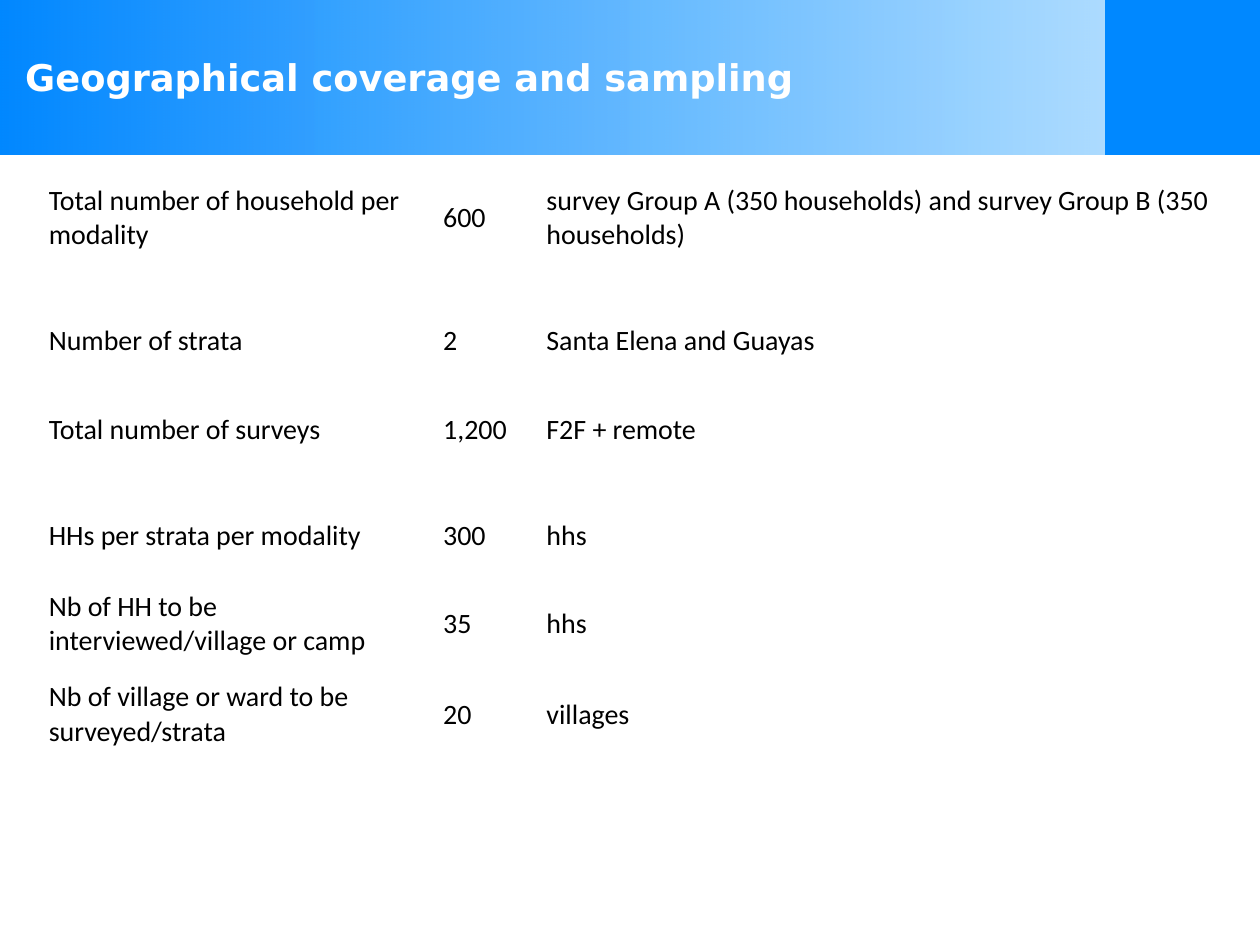
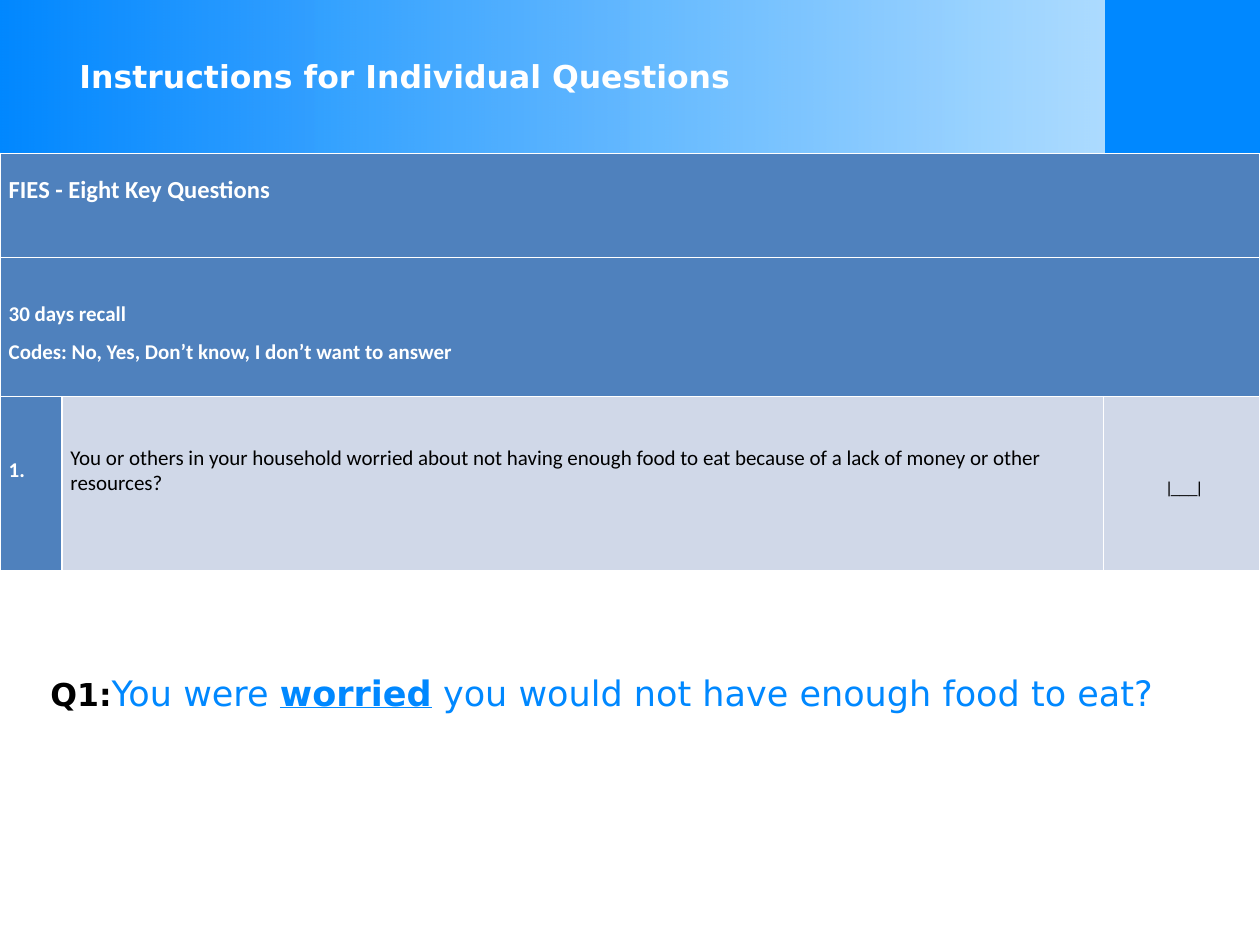
from lxml.etree import SubElement
from pptx import Presentation
from pptx.dml.color import RGBColor
from pptx.enum.shapes import MSO_SHAPE
from pptx.enum.text import MSO_ANCHOR, MSO_AUTO_SIZE, PP_ALIGN
from pptx.oxml import parse_xml
from pptx.oxml.ns import nsdecls, qn
from pptx.util import Pt

# Content
SAMPLING_TITLE = "Geographical coverage and sampling"
SAMPLING_ROWS = [
    ("Total number of household per modality", "600",
     "survey Group A (350 households) and survey Group B (350 households)"),
    ("Number of strata", "2", "Santa Elena and Guayas"),
    ("Total number of surveys", "1,200", "F2F + remote"),
    ("", "", ""),
    ("HHs per strata per modality", "300", "hhs"),
    ("Nb of HH to be interviewed/village or camp", "35", "hhs"),
    ("Nb of village or ward to be surveyed/strata", "20", "villages"),
]
QUESTIONS_TITLE = "Instructions for Individual Questions"
QUESTION_ROWS = [
    (["FIES - Eight Key Questions"],),
    (["30 days recall", "Codes: No, Yes, Don’t know, I don’t want to answer"],),
    (["1."],
     ["You or others in your household worried about not having enough food to eat "
      "because of a lack of money or other resources?"],
     ["|___|"]),
]

# Shared colours and text formats
BRIGHT, HEADER, PALE, WHITE, BLACK = "0088FF", "4F81BD", "D0D8E8", "FFFFFF", "000000"
TITLE = dict(name="DejaVu Sans", color=WHITE, bold=True)
SAMPLING = dict(name="Calibri", size=16, color=BLACK)
HEADING = dict(name="Calibri", size=14, color=WHITE, bold=True)
SUBHEADING = dict(HEADING, size=12)
QUESTION = dict(SUBHEADING, color=BLACK, bold=False)
ANSWER = dict(QUESTION, name="Arial", size=9)
PROMPT = dict(name="DejaVu Sans", size=20, color=BRIGHT, bold=False)
PROMPT_RUNS = [
    ("Q1:", dict(PROMPT, size=18, color=BLACK, bold=True)),
    ("You were ", PROMPT),
    ("worried", dict(PROMPT, bold=True, underline=True)),
    (" you would not have enough food to eat?", PROMPT),
]

# Format, fill, line spacing, alignment and bottom margin of each question cell
QUESTION_STYLES = [
    [(HEADING, HEADER, 1.5, PP_ALIGN.LEFT, 25.6)],
    [(SUBHEADING, HEADER, 1.5, PP_ALIGN.LEFT, 0)],
    [(SUBHEADING, HEADER, 1.5, PP_ALIGN.LEFT, 22),
     (QUESTION, PALE, 1, PP_ALIGN.LEFT, 14.6),
     (ANSWER, PALE, 1.5, PP_ALIGN.CENTER, 0)],
]
SLIDE_WIDTH, SLIDE_HEIGHT, BAND_HEIGHT = 720, 540, 88.5


def rgb(value):
    return RGBColor.from_string(value)


def points(*values):
    return [Pt(value) for value in values]


def add_run(paragraph, text, style):
    run = paragraph.add_run()
    run.text = text
    for key, value in style.items():
        if key == "color":
            run.font.color.rgb = rgb(value)
        else:
            setattr(run.font, key, Pt(value) if key == "size" else value)


def set_margins(target, left, top, right, bottom):
    margins = dict(left=left, top=top, right=right, bottom=bottom)
    for side, value in margins.items():
        setattr(target, f"margin_{side}", Pt(value))


def add_band(slide, layout):
    """Draw the gradient band and its end square, then share them through the layout."""
    boxes = [(0, SLIDE_WIDTH), (SLIDE_WIDTH - BAND_HEIGHT, BAND_HEIGHT)]
    for index, (left, width) in enumerate(boxes):
        shape = slide.shapes.add_shape(MSO_SHAPE.RECTANGLE, *points(left, 0, width, BAND_HEIGHT))
        shape.shadow.inherit = False
        shape.line.fill.background()
        if index == 0:
            shape.fill.gradient()
            shape.fill.gradient_angle = 0
            first, last = shape.fill.gradient_stops
            first.position, last.position = 0, 1
            first.color.rgb, last.color.rgb = rgb(BRIGHT), rgb("0091FF")
            last_color = list(shape._element.iter(qn("a:gs")))[-1].find(qn("a:srgbClr"))
            SubElement(last_color, qn("a:alpha"), val="23000")
        else:
            shape.fill.solid()
            shape.fill.fore_color.rgb = rgb(BRIGHT)
        layout.shapes._spTree.insert(2 + index, shape._element)


def set_title(slide, text, box, size, spacing):
    title = slide.shapes.title
    title.left, title.top, title.width, title.height = points(*box)
    frame = title.text_frame
    frame.auto_size = MSO_AUTO_SIZE.NONE
    frame.vertical_anchor = MSO_ANCHOR.MIDDLE
    set_margins(frame, 7.2, 0, 7.2, 5)
    paragraph = frame.paragraphs[0]
    paragraph.alignment = PP_ALIGN.LEFT
    paragraph.line_spacing = spacing
    add_run(paragraph, text, dict(TITLE, size=size))


def add_table(slide, left, top, columns, rows):
    frame = slide.shapes.add_table(
        len(rows), len(columns), *points(left, top, sum(columns), sum(rows)))
    table = frame.table
    table.first_row = table.horz_banding = False
    for column, width in zip(table.columns, columns):
        column.width = Pt(width)
    for row, height in zip(table.rows, rows):
        row.height = Pt(height)
    for cell in table.iter_cells():
        cell.vertical_anchor = MSO_ANCHOR.MIDDLE
        cell.fill.background()
    return table


def add_borders(cell):
    for index, side in enumerate(("lnL", "lnR", "lnT", "lnB")):
        border = parse_xml(
            f'<a:{side} {nsdecls("a")} w="12700"><a:solidFill>'
            f'<a:srgbClr val="{WHITE}"/></a:solidFill></a:{side}>')
        cell._tc.get_or_add_tcPr().insert(index, border)


def build_sampling(slide):
    set_title(slide, SAMPLING_TITLE, (7.2, 3.6, 618.5, 72.7), 21, 1.5)
    table = add_table(slide, 22.3, 92.9, (225.4, 59, 409.7),
                      (63.4, 77, 23.8, 27.5, 41, 59, 44.6))
    for row, texts in zip(table.rows, SAMPLING_ROWS):
        for cell, text in zip(row.cells, texts):
            set_margins(cell, 5.6, 2.8, 5.6, 2.8)
            if text:
                add_run(cell.text_frame.paragraphs[0], text, SAMPLING)


def build_questions(slide):
    set_title(slide, QUESTIONS_TITLE, (38.2, 9.4, 560, 72.7), 18, 1)
    table = add_table(slide, 0, 87.6, (35.3, 595.4, 89.3), (59.6, 79.4, 99.4))
    for row in range(2):
        table.cell(row, 0).merge(table.cell(row, 2))
    for cell in table.iter_cells():
        add_borders(cell)
    for row, texts, styles in zip(table.rows, QUESTION_ROWS, QUESTION_STYLES):
        for cell, lines, (style, fill, spacing, alignment, bottom) in zip(
                row.cells, texts, styles):
            cell.fill.solid()
            cell.fill.fore_color.rgb = rgb(fill)
            side_margins = (2.9, 0) if style is ANSWER else (5, 5)
            set_margins(cell, side_margins[0], 0, side_margins[1], bottom)
            frame = cell.text_frame
            for index, line in enumerate(lines):
                paragraph = frame.add_paragraph() if index else frame.paragraphs[0]
                paragraph.line_spacing = spacing
                paragraph.alignment = alignment
                add_run(paragraph, line, style)

    # Question wording below the table
    frame = slide.shapes.add_textbox(*points(28.8, 371.5, 661, 54.7)).text_frame
    frame.word_wrap = True
    set_margins(frame, 0, 0, 0, 0)
    paragraph = frame.paragraphs[0]
    paragraph.line_spacing = 1.5
    for text, style in PROMPT_RUNS:
        add_run(paragraph, text, style)


def main():
    presentation = Presentation()
    presentation.slide_width, presentation.slide_height = points(SLIDE_WIDTH, SLIDE_HEIGHT)
    layout = presentation.slide_layouts[5]
    sampling, questions = [presentation.slides.add_slide(layout) for _ in range(2)]
    add_band(sampling, layout)
    build_sampling(sampling)
    build_questions(questions)
    presentation.save("out.pptx")


if __name__ == "__main__":
    main()
